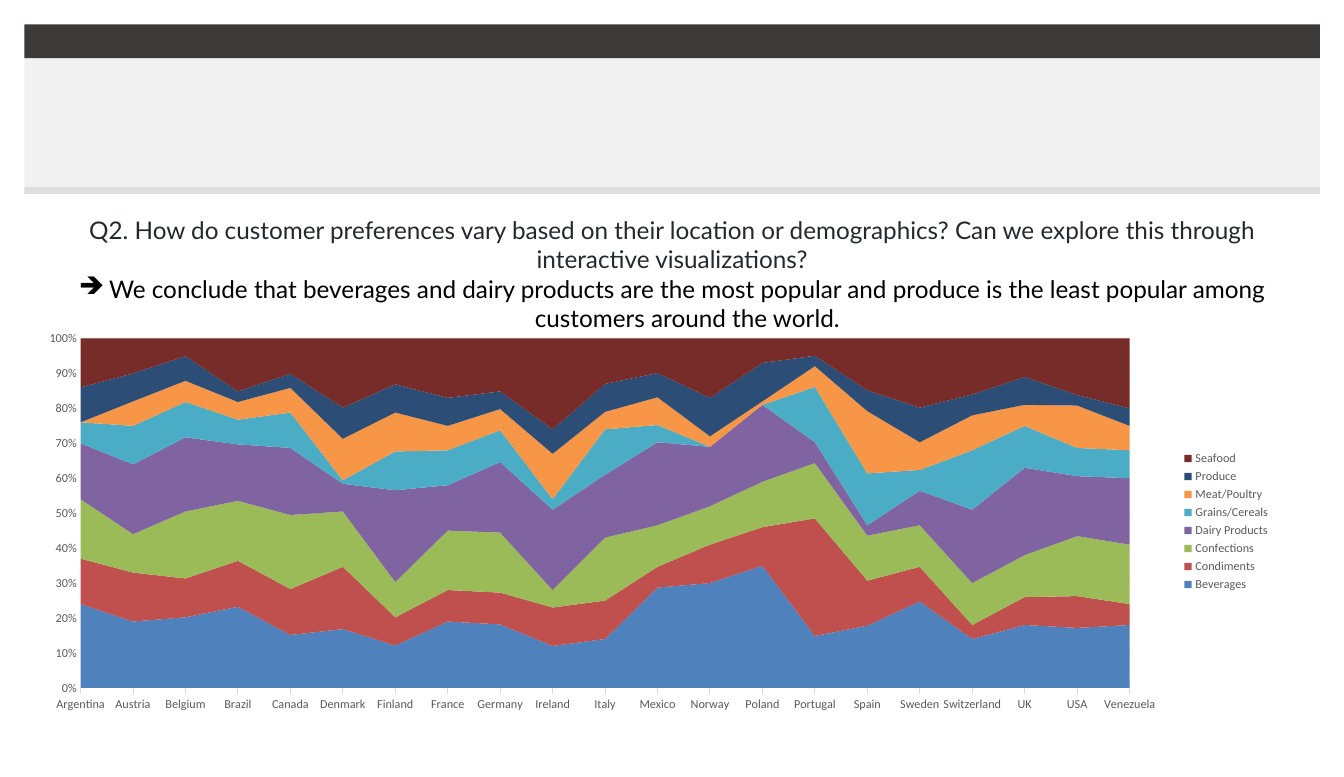
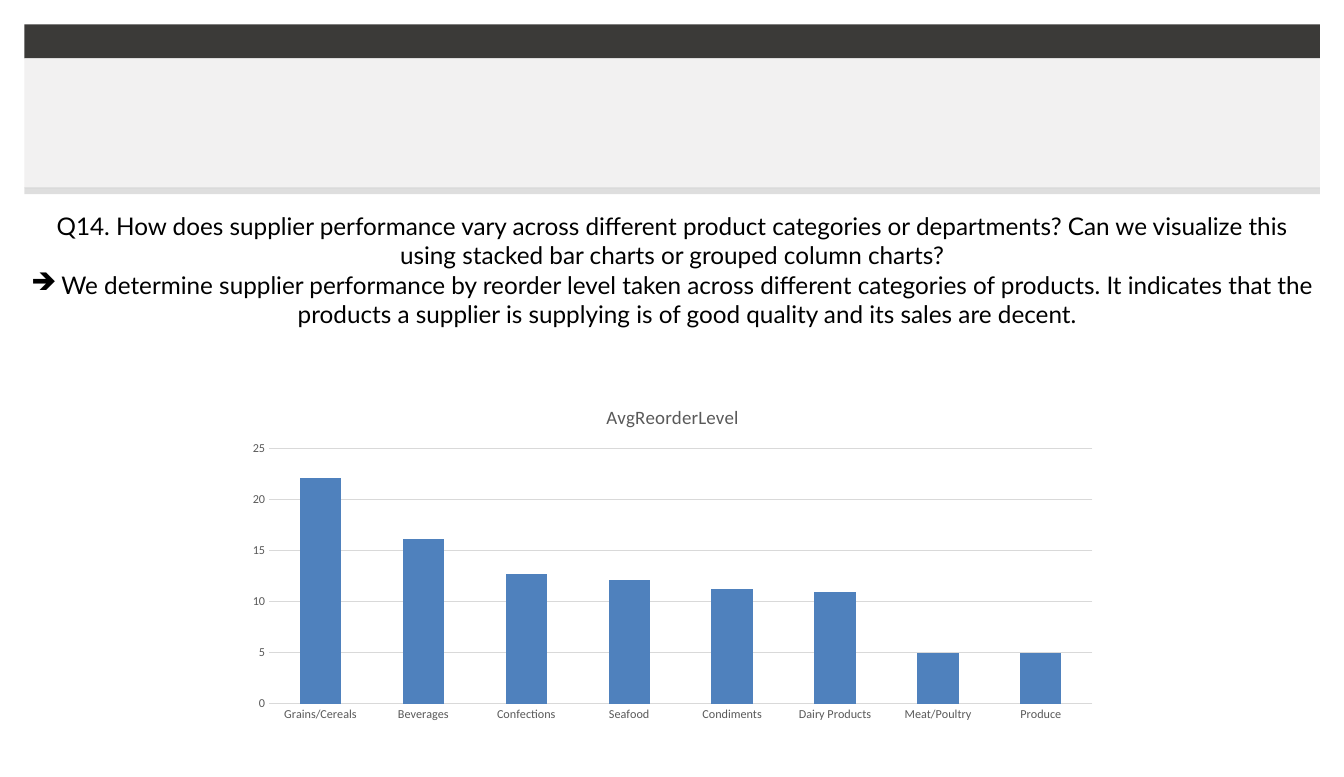
from dataclasses import dataclass
from typing import Optional

from lxml.etree import SubElement
from pptx import Presentation
from pptx.chart.axis import _BaseAxis as Axis
from pptx.chart.chart import Chart
from pptx.chart.data import CategoryChartData
from pptx.dml.color import RGBColor
from pptx.enum.chart import XL_CHART_TYPE as ChartType
from pptx.enum.chart import XL_LEGEND_POSITION as LegendPosition
from pptx.enum.chart import XL_TICK_MARK as TickMark
from pptx.enum.shapes import MSO_SHAPE as Preset
from pptx.enum.text import MSO_ANCHOR as Anchor
from pptx.enum.text import MSO_AUTO_SIZE as AutoSize
from pptx.enum.text import PP_ALIGN as Align
from pptx.oxml.ns import qn
from pptx.slide import Slide
from pptx.text.text import Font, TextFrame
from pptx.util import Cm, Pt

BLACK = RGBColor(0x00, 0x00, 0x00)
WHITE = RGBColor(0xFF, 0xFF, 0xFF)
INK = RGBColor(0x24, 0x29, 0x2E)
CHARCOAL = RGBColor(0x3B, 0x3A, 0x38)
PANEL = RGBColor(0xF2, 0xF1, 0xF1)
AXIS_TEXT = RGBColor(0x59, 0x59, 0x59)
GRID = RGBColor(0xD9, 0xD9, 0xD9)
BLUE = RGBColor(0x4F, 0x81, 0xBD)
RED = RGBColor(0xC0, 0x50, 0x4D)
GREEN = RGBColor(0x9B, 0xBB, 0x59)
PURPLE = RGBColor(0x80, 0x64, 0xA2)
TEAL = RGBColor(0x4B, 0xAC, 0xC6)
ORANGE = RGBColor(0xF7, 0x96, 0x46)
NAVY = RGBColor(0x2C, 0x4D, 0x75)
MAROON = RGBColor(0x77, 0x2C, 0x2A)

TEXT_FONT, CHART_FONT = "Lato", "Calibri"
TITLE_ONLY, BLANK = 5, 6
MARGIN, CONTENT_WIDTH = Cm(0.64), Cm(33.86)
HEADING_TOP = Cm(5.51)
BULLET_INDENT = Cm(0.79)


@dataclass(frozen=True)
class Band:
    top: float
    height: float
    color: RGBColor
    opacity: int = 100


@dataclass(frozen=True)
class Series:
    name: str
    color: RGBColor
    values: tuple[Optional[float], ...]


@dataclass(frozen=True)
class Frame:
    left: Cm
    top: Cm
    width: Cm
    height: Cm


HEADER_BANDS = (
    Band(0.64, 0.89, CHARCOAL),
    Band(1.52, 0.01, BLACK, 11),
    Band(4.9, 0.02, BLACK, 11),
    Band(4.9, 0.18, BLACK, 13),
    Band(1.53, 3.37, PANEL),
)

COUNTRIES = (
    "Argentina", "Austria", "Belgium", "Brazil", "Canada", "Denmark", "Finland",
    "France", "Germany", "Ireland", "Italy", "Mexico", "Norway", "Poland",
    "Portugal", "Spain", "Sweden", "Switzerland", "UK", "USA", "Venezuela",
)
PREFERENCES = (
    Series("Beverages", BLUE, (24, 19, 20, 23, 15, 17, 12, 19, 18, 12, 14,
                               29, 30, 35, 15, 18, 25, 14, 18, 17, 18)),
    Series("Condiments", RED, (13, 14, 11, 13, 13, 18, 8, 9, 9, 11, 11,
                               6, 11, 11, 34, 13, 10, 4, 8, 9, 6)),
    Series("Confections", GREEN, (17, 11, 19, 17, 21, 16, 10, 17, 17, 5, 18,
                                  12, 11, 13, 16, 13, 12, 12, 12, 17, 17)),
    Series("Dairy Products", PURPLE, (16, 20, 21, 16, 19, 8, 26, 13, 20, 23, 18,
                                      24, 17, 22, 6, 3, 10, 21, 25, 17, 19)),
    Series("Grains/Cereals", TEAL, (6, 11, 10, 7, 10, 1, 11, 10, 9, 3, 13,
                                    5, None, None, 16, 15, 6, 17, 12, 8, 8)),
    Series("Meat/Poultry", ORANGE, (None, 7, 6, 5, 7, 12, 11, 7, 6, 13, 5,
                                    8, 3, 1, 6, 18, 8, 10, 6, 12, 7)),
    Series("Produce", NAVY, (10, 8, 7, 3, 4, 9, 8, 8, 5, 7, 8,
                             7, 11, 11, 3, 6, 10, 6, 8, 3, 5)),
    Series("Seafood", MAROON, (14, 10, 5, 15, 10, 20, 13, 17, 15, 26, 13,
                               10, 17, 7, 5, 15, 20, 16, 11, 16, 20)),
)
CATEGORIES = (
    "Grains/Cereals", "Beverages", "Confections", "Seafood",
    "Condiments", "Dairy Products", "Meat/Poultry", "Produce",
)
REORDER_LEVELS = Series("AvgReorderLevel", BLUE,
                        (22.1, 16.2, 12.7, 12.1, 11.2, 11, 5, 5))


def style_font(font: Font, size: float, color: RGBColor, name: str = CHART_FONT) -> None:
    font.size, font.name, font.bold = Pt(size), name, False
    font.color.rgb = color


def write_paragraph(frame: TextFrame, text: str, *, color: RGBColor = BLACK,
                    size: float = 18, bullet: str = "", first: bool = False) -> None:
    paragraph = frame.paragraphs[0] if first else frame.add_paragraph()
    paragraph.alignment = Align.CENTER
    run = paragraph.add_run()
    run.text = text
    style_font(run.font, size, color, TEXT_FONT)
    if bullet:
        properties = paragraph._p.get_or_add_pPr()
        properties.set("marL", str(BULLET_INDENT))
        properties.set("indent", str(-BULLET_INDENT))
        SubElement(properties, qn("a:buChar")).set("char", bullet)


def write_heading(frame: TextFrame, question: str, answer: str,
                  question_color: RGBColor = BLACK) -> None:
    write_paragraph(frame, question, color=question_color, first=True)
    write_paragraph(frame, answer, bullet="➔")


def add_header_to_master(slide: Slide) -> None:
    """Draw the bands with the slide's shape tools, then move them to its master."""
    master_tree = slide.slide_layout.slide_master.shapes.element
    for index, band in enumerate(HEADER_BANDS):
        shape = slide.shapes.add_shape(Preset.RECTANGLE, MARGIN, Cm(band.top),
                                       CONTENT_WIDTH, Cm(band.height))
        shape.shadow.inherit = False
        shape.line.fill.background()
        shape.fill.solid()
        shape.fill.fore_color.rgb = band.color
        if band.opacity < 100:
            color = shape.element.spPr.find(f".//{qn('a:srgbClr')}")
            SubElement(color, qn("a:alpha")).set("val", str(band.opacity * 1000))
        shape.element.nvSpPr.cNvPr.set("id", str(100 + index))
        master_tree.insert(2 + index, shape.element)


def style_axis(axis: Axis, *, grid: bool = False, line: bool = False,
               tick: TickMark = TickMark.NONE) -> None:
    style_font(axis.tick_labels.font, 9, AXIS_TEXT)
    axis.major_tick_mark, axis.minor_tick_mark = tick, TickMark.NONE
    axis.has_major_gridlines = grid
    lines = [axis.major_gridlines.format.line] if grid else []
    if line:
        lines.append(axis.format.line)
    else:
        axis.format.line.fill.background()
    for visible_line in lines:
        visible_line.color.rgb = GRID
        visible_line.width = Pt(0.75)


def add_chart(slide: Slide, kind: ChartType, frame: Frame,
              categories: tuple[str, ...], series: tuple[Series, ...]) -> Chart:
    data = CategoryChartData()
    data.categories = categories
    for entry in series:
        data.add_series(entry.name, entry.values)
    chart = slide.shapes.add_chart(kind, frame.left, frame.top, frame.width,
                                   frame.height, data).chart
    style_font(chart.font, 10, BLACK)
    chart.has_title = chart.has_legend = False
    plot = chart.plots[0]
    plot.vary_by_categories = False
    for drawn, entry in zip(plot.series, series):
        drawn.format.fill.solid()
        drawn.format.fill.fore_color.rgb = entry.color
    style_axis(chart.value_axis, grid=True)
    return chart


def build_preferences(slide: Slide) -> None:
    title = slide.shapes.title
    title.left, title.top = MARGIN, HEADING_TOP
    title.width, title.height = CONTENT_WIDTH, Cm(3.33)
    frame = title.text_frame
    frame.word_wrap, frame.vertical_anchor = True, Anchor.TOP
    frame.auto_size = AutoSize.SHAPE_TO_FIT_TEXT
    write_heading(
        frame,
        "Q2. How do customer preferences vary based on their location or demographics? "
        "Can we explore this through interactive visualizations?",
        "We conclude that beverages and dairy products are the most popular and produce "
        "is the least popular among customers around the world.",
        INK,
    )

    chart = add_chart(slide, ChartType.AREA_STACKED_100,
                      Frame(MARGIN, Cm(8.46), Cm(32.82), Cm(10.36)),
                      COUNTRIES, PREFERENCES)
    style_axis(chart.category_axis, line=True, tick=TickMark.OUTSIDE)
    labels = chart.value_axis.tick_labels
    labels.number_format, labels.number_format_is_linked = "0%", False
    for tag, value in (("c:crossBetween", "midCat"), ("c:dispBlanksAs", "zero")):
        for setting in chart.element.iter(qn(tag)):
            setting.set("val", value)
    chart.has_legend = True
    chart.legend.position = LegendPosition.RIGHT
    chart.legend.include_in_layout = False
    style_font(chart.legend.font, 9, AXIS_TEXT)


def build_reorder_levels(slide: Slide) -> None:
    table = slide.shapes.add_table(1, 1, MARGIN, HEADING_TOP,
                                   CONTENT_WIDTH, Cm(3.07)).table
    table.first_row = table.horz_banding = False
    cell = table.cell(0, 0)
    cell.margin_left = cell.margin_top = cell.margin_right = Cm(0.03)
    cell.margin_bottom = 0
    cell.vertical_anchor = Anchor.BOTTOM
    write_heading(
        cell.text_frame,
        "Q14. How does supplier performance vary across different product categories or "
        "departments? Can we visualize this using stacked bar charts or grouped column "
        "charts?",
        "We determine supplier performance by reorder level taken across different "
        "categories of products. It indicates that the products a supplier is supplying "
        "is of good quality and its sales are decent.",
    )
    properties = cell._tc.get_or_add_tcPr()
    for side in ("a:lnL", "a:lnR", "a:lnT", "a:lnB"):
        border = SubElement(properties, qn(side), w=str(Pt(1)))
        SubElement(SubElement(border, qn("a:solidFill")), qn("a:srgbClr"), val=str(WHITE))
    cell.fill.solid()
    cell.fill.fore_color.rgb = WHITE

    chart = add_chart(slide, ChartType.COLUMN_CLUSTERED,
                      Frame(Cm(6.15), Cm(10.16), Cm(22.86), Cm(8.89)),
                      CATEGORIES, (REORDER_LEVELS,))
    style_axis(chart.category_axis)
    chart.plots[0].gap_width = 150
    chart.value_axis.minimum_scale, chart.value_axis.maximum_scale = 0, 25
    chart.value_axis.major_unit = 5
    chart.has_title = True
    chart_title = chart.chart_title.text_frame
    chart_title.text = REORDER_LEVELS.name
    style_font(chart_title.paragraphs[0].runs[0].font, 14, AXIS_TEXT)


def main() -> None:
    deck = Presentation()
    deck.slide_width, deck.slide_height = Cm(35.13), Cm(20.32)
    preferences = deck.slides.add_slide(deck.slide_layouts[TITLE_ONLY])
    add_header_to_master(preferences)
    build_preferences(preferences)
    build_reorder_levels(deck.slides.add_slide(deck.slide_layouts[BLANK]))
    deck.save("out.pptx")


if __name__ == "__main__":
    main()
